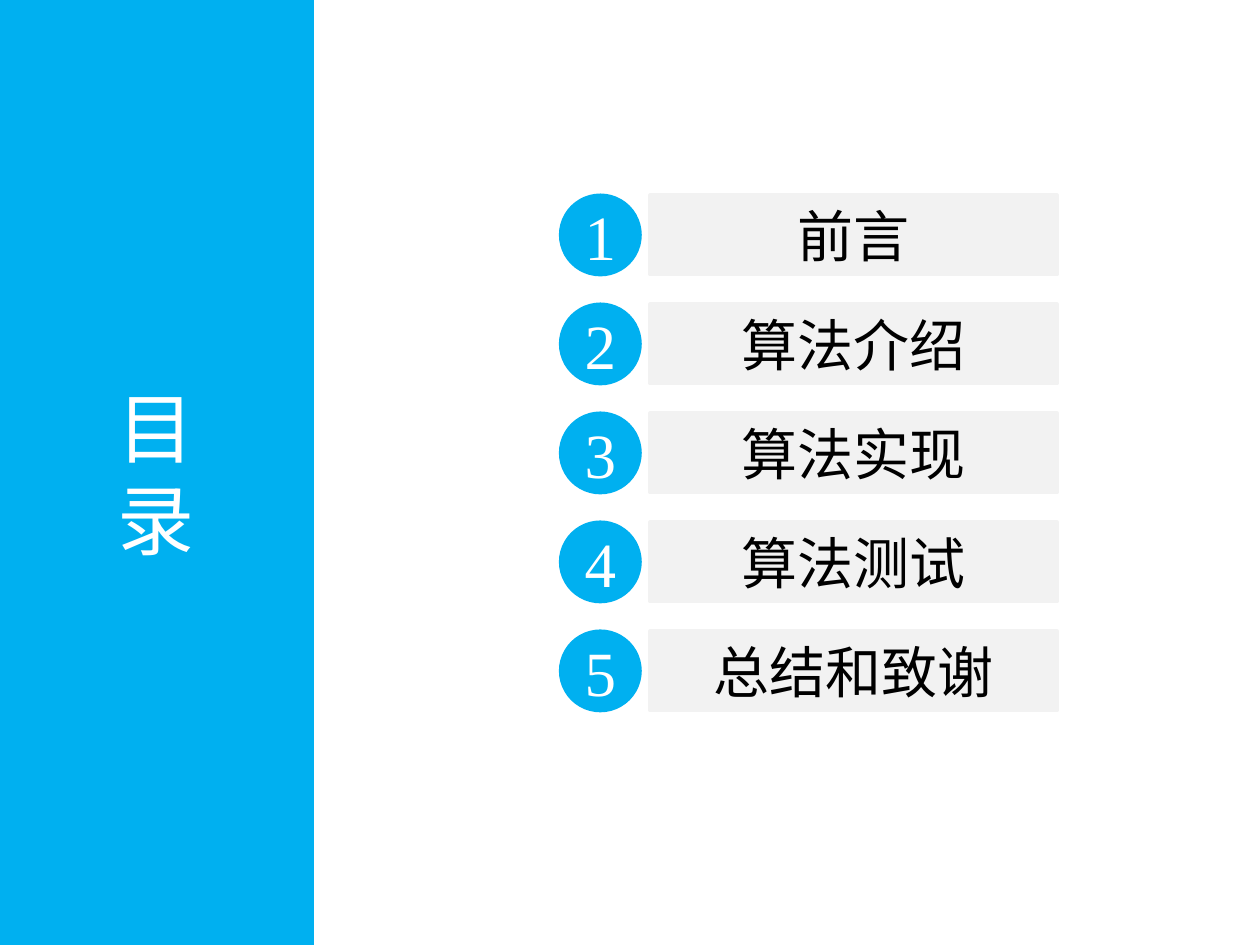
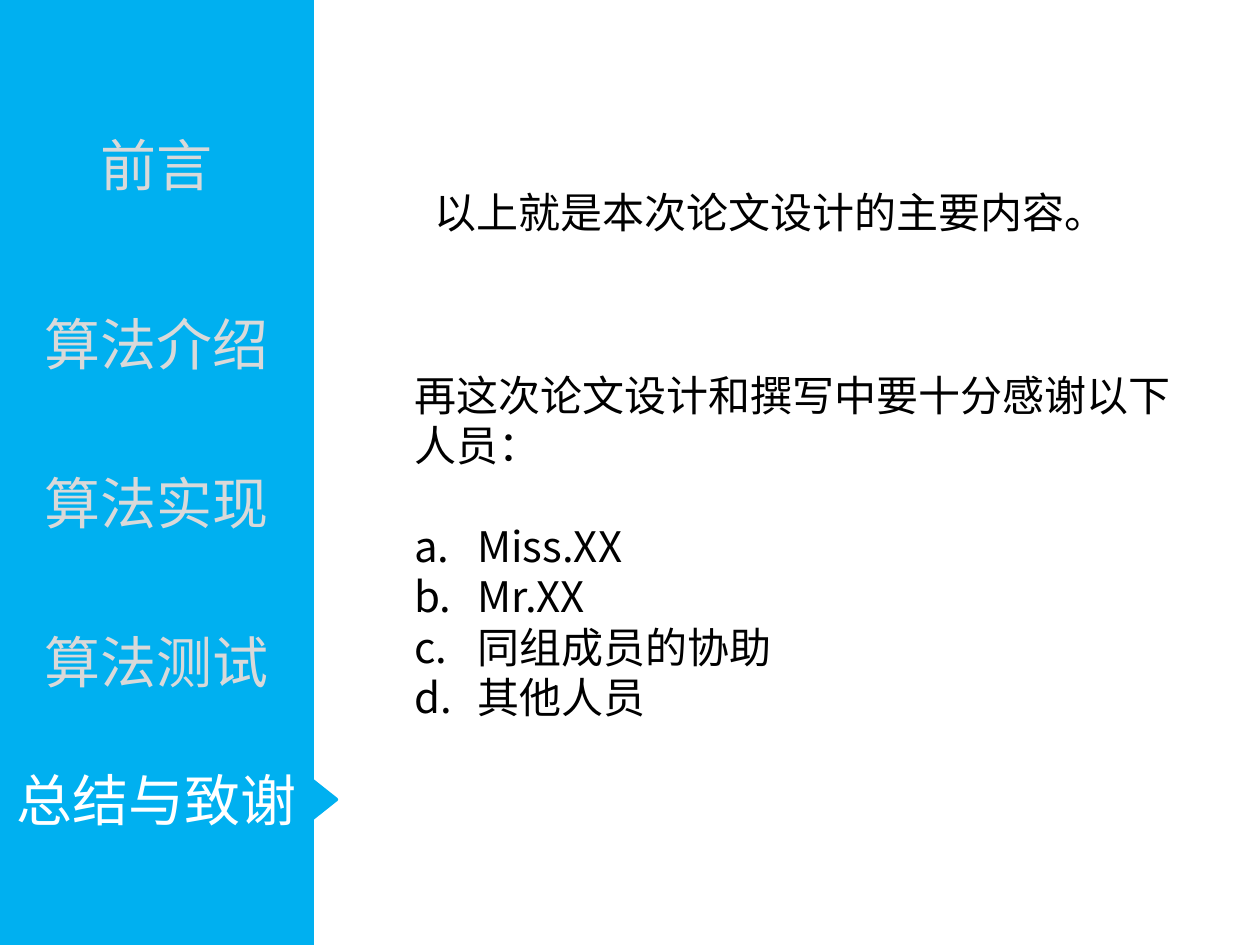
from pptx import Presentation, util as u
from pptx.dml.color import RGBColor
from pptx.enum import shapes, text
from pptx.oxml.ns import qn
from lxml import etree

WIDTH, HEIGHT = 10, 7.5
COLOURS = {"blue": "00B0F0", "pale": "F2F2F2", "muted": "D9D9D9",
           "white": "FFFFFF", "black": "000000"}
CJK, SERIF = "Noto Sans CJK SC", "Times New Roman"
LINE_PITCH = 1.2  # line height as a share of the text size

SIDEBAR = 2.48
BAR_HEIGHT = 0.63
ROW_TOP, ROW_PITCH = 1.55, 0.865
NUMBER_LEFT, TOPIC_LEFT, TOPIC_WIDTH = 4.45, 5.16, 3.23


def colour(name):
    return RGBColor.from_string(COLOURS[name])


def write(frame, lines, size, ink, font=CJK, align=text.PP_ALIGN.LEFT):
    """Fill a text frame with one paragraph per line."""
    frame.word_wrap = True
    for index, line in enumerate(lines):
        para = frame.paragraphs[0] if index == 0 else frame.add_paragraph()
        para.alignment = align
        if len(lines) > 1:
            para.line_spacing = u.Pt(size * LINE_PITCH)
        span = para.add_run()
        span.text = line
        span.font.name = font
        span.font.size = u.Pt(size)
        span.font.color.rgb = colour(ink)
        east_asian = etree.SubElement(span.font._element, qn("a:ea"))
        east_asian.set("typeface", font)


def add_block(parent, kind, left, top, width, height, fill="blue",
              lines=(), size=32, ink="white", font=CJK):
    """Solid preset shape with centred text."""
    block = parent.shapes.add_shape(kind, *map(u.Inches, (left, top, width, height)))
    block.shadow.inherit = False
    block.fill.solid()
    block.fill.fore_color.rgb = colour(fill)
    block.line.color.rgb = colour(fill)
    block.line.width = u.Pt(2)
    if lines:
        block.text_frame.vertical_anchor = text.MSO_ANCHOR.MIDDLE
        write(block.text_frame, lines, size, ink, font, text.PP_ALIGN.CENTER)


def add_sidebar(parent, lines=()):
    add_block(parent, shapes.MSO_SHAPE.RECTANGLE, 0, 0, SIDEBAR, HEIGHT,
              lines=lines, size=44)


def add_note(page, left, top, width, height, lines):
    box = page.shapes.add_textbox(*map(u.Inches, (left, top, width, height)))
    write(box.text_frame, lines, 24, "black")
    return box.text_frame.paragraphs


def letter_items(paras):
    """Number paragraphs a., b., c. with a hanging indent."""
    for para in paras:
        props = para._p.get_or_add_pPr()
        props.set("marL", str(u.Inches(0.5)))
        props.set("indent", str(-u.Inches(0.5)))
        etree.SubElement(props, qn("a:buAutoNum")).set("type", "alphaLcPeriod")


def build_contents(page):
    add_sidebar(page, ["目", "录"])
    topics = ["前言", "算法介绍", "算法实现", "算法测试", "总结和致谢"]
    for index, topic in enumerate(topics):
        top = ROW_TOP + index * ROW_PITCH
        row = page.shapes.add_group_shape()
        add_block(row, shapes.MSO_SHAPE.OVAL, NUMBER_LEFT, top, BAR_HEIGHT, BAR_HEIGHT,
                  lines=[str(index + 1)], size=36, font=SERIF)
        add_block(row, shapes.MSO_SHAPE.RECTANGLE, TOPIC_LEFT, top, TOPIC_WIDTH,
                  BAR_HEIGHT, "pale", [topic], ink="black")


def build_thanks(page):
    # Pointer beside the current section, half hidden by the sidebar
    add_block(page, shapes.MSO_SHAPE.DIAMOND, 2.28, 6.19, 0.39, 0.31)

    # Navigation
    menu = page.shapes.add_group_shape()
    add_sidebar(menu)
    sections = {"前言": 0.99, "算法介绍": 2.41, "算法实现": 3.67,
                "算法测试": 4.93, "总结与致谢": 6.03}
    current = "总结与致谢"
    for section, top in sections.items():
        add_block(menu, shapes.MSO_SHAPE.RECTANGLE, 0, top, SIDEBAR, BAR_HEIGHT,
                  lines=[section], ink="white" if section == current else "muted")

    # Closing words and acknowledgements
    add_note(page, 3.35, 1.43, 5.59, 0.5, ["以上就是本次论文设计的主要内容。"])
    paras = add_note(page, 3.19, 2.88, 6.26, 2.93, [
        "再这次论文设计和撰写中要十分感谢以下", "人员：",
        "Miss.XX", "Mr.XX", "同组成员的协助", "其他人员"])
    people = paras[2:]
    people[0].space_before = u.Pt(24 * LINE_PITCH)
    letter_items(people)


def main():
    deck = Presentation()
    deck.slide_width, deck.slide_height = u.Inches(WIDTH), u.Inches(HEIGHT)
    blank = deck.slide_layouts[6]
    for build in (build_contents, build_thanks):
        build(deck.slides.add_slide(blank))
    deck.save("out.pptx")


if __name__ == "__main__":
    main()
